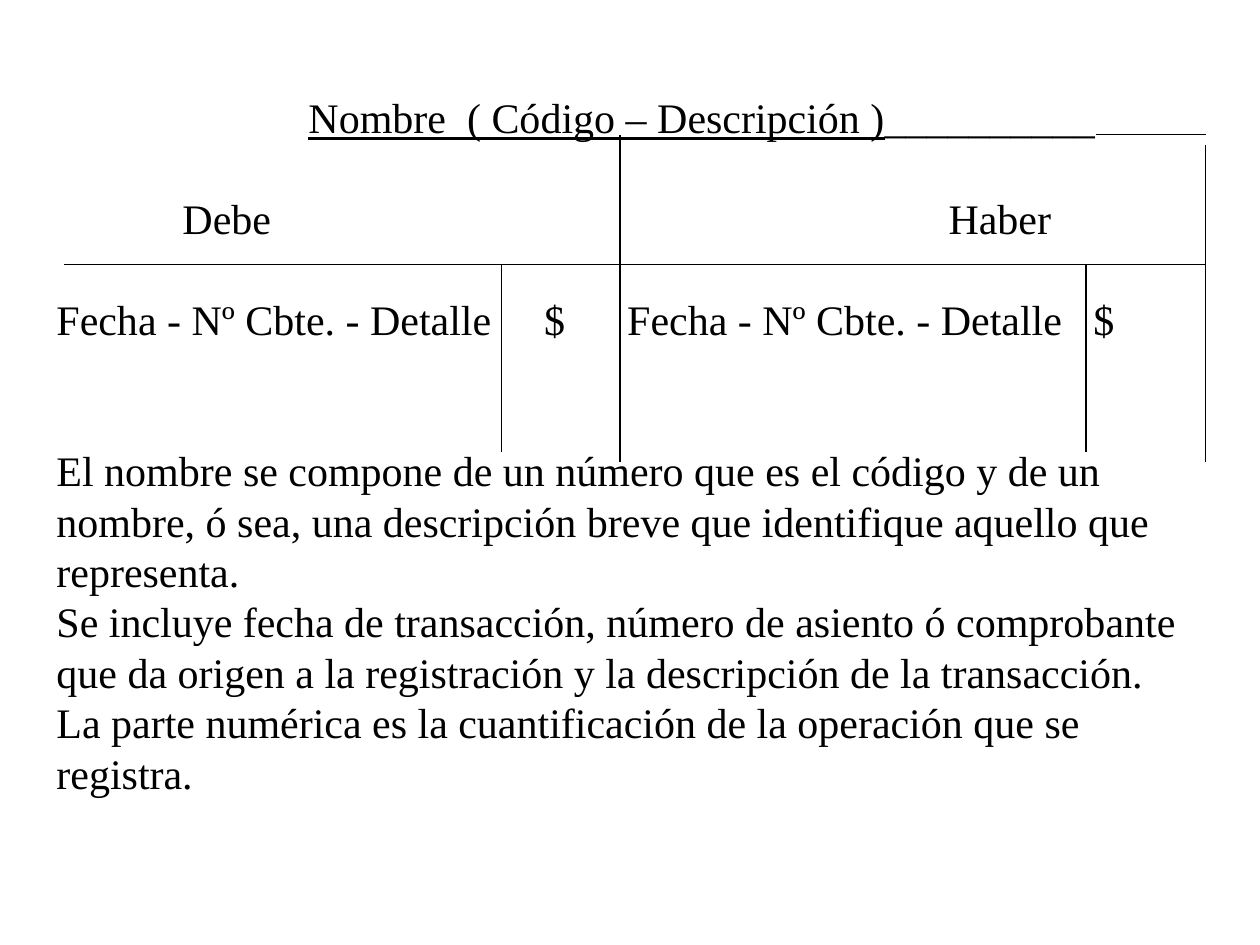
"""Build a slide that explains the layout of a T account."""
from lxml import etree
from pptx import Presentation
from pptx.dml.color import RGBColor
from pptx.enum import shapes, text
from pptx.oxml import ns
from pptx.util import Inches, Pt

BLACK = RGBColor(0, 0, 0)
LINE_HEIGHT = 28.8

deck = Presentation()
deck.slide_width, deck.slide_height = Inches(10), Inches(7.5)
slide = deck.slides.add_slide(deck.slide_layouts[6])

account = slide.shapes.add_textbox(Inches(0.35), Inches(0.68), Inches(9.37), Inches(5.7)).text_frame
account.word_wrap = True
account.auto_size = text.MSO_AUTO_SIZE.SHAPE_TO_FIT_TEXT


def write(wording, underlined="", ending="", tabs=(), lines_before=0):
    paragraph = account.paragraphs[0]
    if paragraph.runs:
        paragraph = account.add_paragraph()
    if tabs:
        properties = paragraph._p.get_or_add_pPr()
        stops = etree.SubElement(properties, ns.qn("a:tabLst"))
        for stop in tabs:
            etree.SubElement(stops, ns.qn("a:tab"), pos=str(Inches(stop)), algn="l")
    paragraph.line_spacing = Pt(LINE_HEIGHT)
    paragraph.space_before = Pt(LINE_HEIGHT * lines_before)
    for part, underline in ((wording, False), (underlined, True), (ending, False)):
        if part:
            run = paragraph.add_run()
            run.text = part
            run.font.name = "Times New Roman"
            run.font.size = Pt(24)
            run.font.color.rgb = BLACK
            run.font.underline = underline


write("\t", underlined="Nombre  ( Código – Descripción )", ending="_" * 10, tabs=[2])
write("\tDebe\tHaber", tabs=[1, 7.08], lines_before=1)
write("Fecha - Nº Cbte. - Detalle\t$\tFecha - Nº Cbte. - Detalle\t$",
      tabs=[3.87, 4.53, 8.23], lines_before=1)
write("El nombre se compone de un número que es el código y de un nombre, ó sea, "
      "una descripción breve que identifique aquello que representa.", lines_before=2)
write("Se incluye fecha de transacción, número de asiento ó comprobante que da origen "
      "a la registración y la descripción de la transacción.")
write("La parte numérica es la cuantificación de la operación que se registra.")

LEFT, DEBIT_AMOUNT, CENTER, CREDIT_AMOUNT, RIGHT = 0.51, 3.98, 4.92, 8.62, 9.57
TOP, HEADER, AMOUNT_END, BOTTOM = 1.07, 2.1, 3.59, 3.67
rules = [
    (CENTER, TOP, CENTER, BOTTOM),
    (LEFT, HEADER, CREDIT_AMOUNT, HEADER),
    (DEBIT_AMOUNT, HEADER, DEBIT_AMOUNT, AMOUNT_END),
    (8.7, TOP, 8.86, TOP),
    (CREDIT_AMOUNT, HEADER, CREDIT_AMOUNT, AMOUNT_END),
    (RIGHT, 1.15, RIGHT, BOTTOM),
    (8.7, TOP, RIGHT, TOP),
    (CREDIT_AMOUNT, HEADER, RIGHT, HEADER),
]
for ends in rules:
    rule = slide.shapes.add_connector(shapes.MSO_CONNECTOR.STRAIGHT, *map(Inches, ends))
    rule.line.color.rgb = BLACK
    rule.line.width = Pt(0.75)
    etree.SubElement(rule._element.spPr, ns.qn("a:effectLst"))

deck.save("out.pptx")
